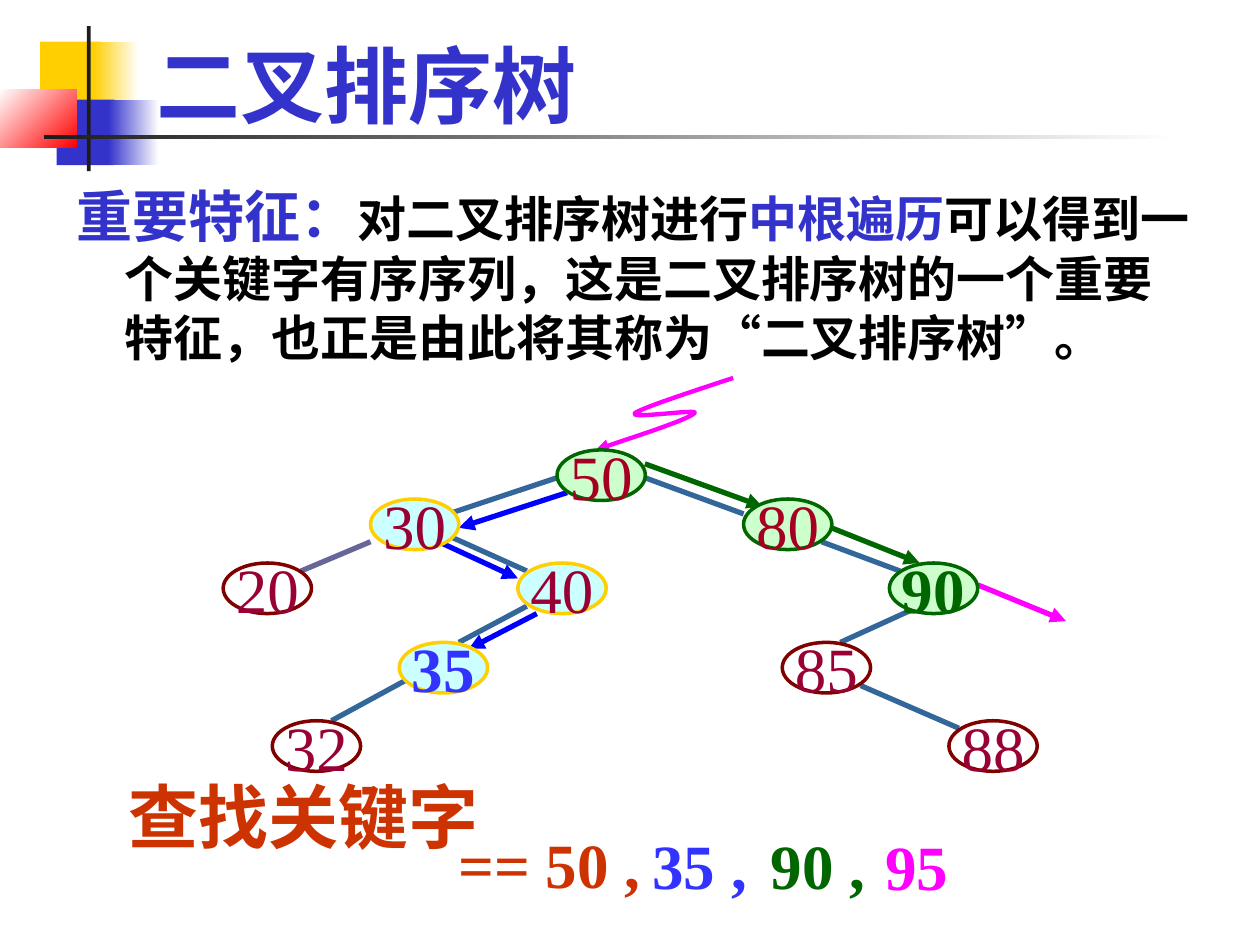
from pptx import Presentation
from pptx.dml.color import RGBColor
from pptx.enum.shapes import MSO_CONNECTOR, MSO_SHAPE
from pptx.enum.text import MSO_ANCHOR, MSO_AUTO_SIZE, PP_ALIGN
from pptx.oxml.ns import qn
from pptx.util import Cm, Pt
from lxml.etree import SubElement

WHITE = RGBColor(0xFF, 0xFF, 0xFF)
BLACK = RGBColor(0, 0, 0)
INK = RGBColor(0x1C, 0x1C, 0x1C)
YELLOW = RGBColor(0xFF, 0xCF, 0x01)
INDIGO = RGBColor(0x33, 0x33, 0xCC)
RED = RGBColor(0xFF, 0, 0)
MAROON = RGBColor(0x80, 0, 0)
CRIMSON = RGBColor(0x99, 0, 0x33)
CARMINE = RGBColor(0xA5, 0, 0x21)
STEEL = RGBColor(0x33, 0x66, 0x99)
SLATE = RGBColor(0x66, 0x66, 0x99)
BLUE = RGBColor(0, 0, 0xFF)
SKY = RGBColor(0x33, 0x33, 0xFF)
GREEN = RGBColor(0, 0x66, 0)
MAGENTA = RGBColor(0xFF, 0, 0xFF)
ORANGE = RGBColor(0xCC, 0x33, 0)
PALE_CYAN = RGBColor(0xCC, 0xFF, 0xFF)
PALE_GREEN = RGBColor(0xCC, 0xFF, 0xCC)

NODE_WIDTH, NODE_HEIGHT = 1.78, 1.02


class TreeSlide:
    """Draws titles, text, tree nodes and links on one slide in a shared style."""

    heading_font = "Arial"
    number_font = "Times New Roman"

    def __init__(self, slide):
        self.slide = slide
        self.shapes = slide.shapes

    def style(self, font, name, size, color, bold=True):
        font.name, font.size, font.bold = name, Pt(size), bold
        font.color.rgb = color

    def title(self, text, left, top, width, height):
        heading = self.shapes.title
        heading.left, heading.top = Cm(left), Cm(top)
        heading.width, heading.height = Cm(width), Cm(height)
        frame = heading.text_frame
        frame.text = text
        frame.auto_size = MSO_AUTO_SIZE.NONE
        frame.vertical_anchor = MSO_ANCHOR.BOTTOM
        frame.paragraphs[0].alignment = PP_ALIGN.LEFT
        self.style(frame.paragraphs[0].font, self.heading_font, 48, INDIGO)

    def block(self, left, top, width, height, color, fade_to=None, angle=0):
        block = self.shapes.add_shape(
            MSO_SHAPE.RECTANGLE, Cm(left), Cm(top), Cm(width), Cm(height))
        block.shadow.inherit = False
        block.line.fill.background()
        if fade_to is None:
            block.fill.solid()
            block.fill.fore_color.rgb = color
            return
        block.fill.gradient()
        block.fill.gradient_angle = angle
        for stop, shade in zip(block.fill.gradient_stops, (color, fade_to)):
            stop.color.rgb = shade

    def statement(self, left, top, width, height, hanging, parts):
        frame = self.shapes.add_textbox(
            Cm(left), Cm(top), Cm(width), Cm(height)).text_frame
        frame.word_wrap = True
        paragraph = frame.paragraphs[0]
        properties = paragraph._p.get_or_add_pPr()
        properties.set("marL", str(Cm(hanging)))
        properties.set("indent", str(-Cm(hanging)))
        for text, size, color in parts:
            run = paragraph.add_run()
            run.text = text
            self.style(run.font, self.heading_font, size, color)

    def label(self, text, left, top, width, height, size, color):
        frame = self.shapes.add_textbox(
            Cm(left), Cm(top), Cm(width), Cm(height)).text_frame
        frame.word_wrap = False
        frame.auto_size = MSO_AUTO_SIZE.SHAPE_TO_FIT_TEXT
        frame.text = text
        self.style(frame.paragraphs[0].font, self.number_font, size, color)

    def node(self, key, left, top, fill, outline, color, bold=False):
        node = self.shapes.add_shape(
            MSO_SHAPE.OVAL, Cm(left), Cm(top), Cm(NODE_WIDTH), Cm(NODE_HEIGHT))
        node.shadow.inherit = False
        if fill is None:
            node.fill.background()
        else:
            node.fill.solid()
            node.fill.fore_color.rgb = fill
        node.line.color.rgb, node.line.width = outline, Pt(2)
        frame = node.text_frame
        frame.word_wrap = False
        frame.vertical_anchor = MSO_ANCHOR.MIDDLE
        frame.text = str(key)
        frame.paragraphs[0].alignment = PP_ALIGN.CENTER
        self.style(frame.paragraphs[0].font, self.number_font, 36, color, bold)

    def arrowhead(self, line):
        SubElement(line._get_or_add_ln(), qn("a:tailEnd"), type="triangle")

    def link(self, start, end, color, arrow=False):
        link = self.shapes.add_connector(
            MSO_CONNECTOR.STRAIGHT, *map(Cm, start), *map(Cm, end))
        link.line.color.rgb, link.line.width = color, Pt(3)
        if arrow:
            self.arrowhead(link.line)
        SubElement(link._element.spPr, qn("a:effectLst"))

    def curve(self, start, segments, color, steps=16):
        points = []
        for a, b, end in segments:
            for step in range(1, steps + 1):
                t = step / steps
                weights = ((1 - t) ** 3, 3 * t * (1 - t) ** 2, 3 * t * t * (1 - t), t ** 3)
                points.append(tuple(
                    Cm(sum(w * p[axis] for w, p in zip(weights, (points_start(start), a, b, end))))
                    for axis in (0, 1)))
            start = end
        return points

    def squiggle(self, start, segments, color):
        builder = self.shapes.build_freeform(*map(Cm, start))
        builder.add_line_segments(self.curve(start, segments, color), close=False)
        squiggle = builder.convert_to_shape()
        squiggle.shadow.inherit = False
        squiggle.fill.background()
        squiggle.line.color.rgb, squiggle.line.width = color, Pt(2.5)
        self.arrowhead(squiggle.line)


def points_start(point):
    return point


def main():
    deck = Presentation()
    deck.slide_width, deck.slide_height = Cm(25.4), Cm(19.05)
    page = TreeSlide(deck.slides.add_slide(deck.slide_layouts[5]))

    page.block(0.81, 0.84, 1.22, 1.32, YELLOW)
    page.block(1.88, 0.84, 0.91, 1.32, YELLOW, WHITE)
    page.block(1.14, 2.01, 1.17, 1.32, INDIGO)
    page.block(2.18, 2.01, 1.02, 1.32, INDIGO, WHITE)
    page.block(0, 1.8, 1.55, 1.17, WHITE, RED, 315)
    page.block(1.75, 0.53, 0.08, 2.92, INK)
    page.block(0.89, 2.72, 22.86, 0.08, INK, WHITE)

    page.title("二叉排序树", 2.9, 0.91, 21.64, 1.93)
    page.statement(1.3, 3.53, 23.01, 4.57, 0.97, [
        ("重要特征：", 32, INDIGO),
        ("对二叉排序树进行", 28, BLACK),
        ("中根遍历", 28, INDIGO),
        ("可以得到一个关键字有序序列，这是二叉排序树的一个重要特征，"
         "也正是由此将其称为“二叉排序树”。", 28, BLACK),
    ])

    branches = [
        ((11.23, 9.63), (9.04, 10.36), STEEL),
        ((7.47, 10.92), (6.07, 11.51), SLATE),
        ((13, 9.63), (14.99, 10.36), STEEL),
        ((9.04, 10.8), (10.62, 11.51), STEEL),
        ((10.62, 12.22), (9.25, 12.95), STEEL),
        ((16.56, 10.92), (18.14, 11.51), STEEL),
        ((18.54, 12.22), (16.94, 12.95), STEEL),
        ((17.35, 13.82), (19.33, 14.68), STEEL),
        ((8.26, 13.67), (6.68, 14.53), STEEL),
    ]
    for branch in branches:
        page.link(*branch)

    page.squiggle((14.78, 7.62), [
        ((13.87, 7.92), (12.93, 8.23), (12.8, 8.33)),
        ((12.67, 8.46), (14.12, 8.23), (14, 8.33)),
        ((13.87, 8.46), (12.93, 8.76), (12.01, 9.07)),
    ], MAGENTA)

    search_steps = [
        ((11.43, 9.93), (9.25, 10.64), BLUE),
        ((8.84, 10.92), (10.44, 11.66), BLUE),
        ((10.82, 12.37), (9.45, 13.08), BLUE),
        ((13, 9.35), (15.37, 10.21), GREEN),
        ((16.76, 10.64), (18.54, 11.35), GREEN),
        ((19.71, 11.79), (21.49, 12.52), MAGENTA),
    ]
    for step in search_steps:
        page.link(*step, arrow=True)

    plain = (None, MAROON, CRIMSON)
    left_path = (PALE_CYAN, YELLOW)
    right_path = (PALE_GREEN, GREEN)
    nodes = [
        (20, 4.5, 11.35, *plain),
        (85, 15.77, 12.95, *plain),
        (88, 19.13, 14.53, *plain),
        (32, 5.49, 14.53, *plain),
        (30, 7.47, 10.06, *left_path, CRIMSON),
        (40, 10.44, 11.35, *left_path, CRIMSON),
        (35, 8.05, 12.95, *left_path, SKY, True),
        (50, 11.23, 9.07, *right_path, CARMINE),
        (80, 14.99, 10.06, *right_path, CARMINE),
        (90, 17.93, 11.35, *right_path, GREEN, True),
    ]
    for node in nodes:
        page.node(*node)

    page.label("查找关键字", 2.34, 15.47, 7.59, 1.96, 40, ORANGE)
    page.label("== 50 ,", 8.99, 16.51, 4.19, 1.78, 36, ORANGE)
    page.label("35 ,", 12.9, 16.54, 2.41, 1.78, 36, SKY)
    page.label("90 ,", 15.29, 16.54, 2.41, 1.78, 36, GREEN)
    page.label("95", 17.6, 16.56, 1.78, 1.78, 36, MAGENTA)

    deck.save("out.pptx")


if __name__ == "__main__":
    main()
